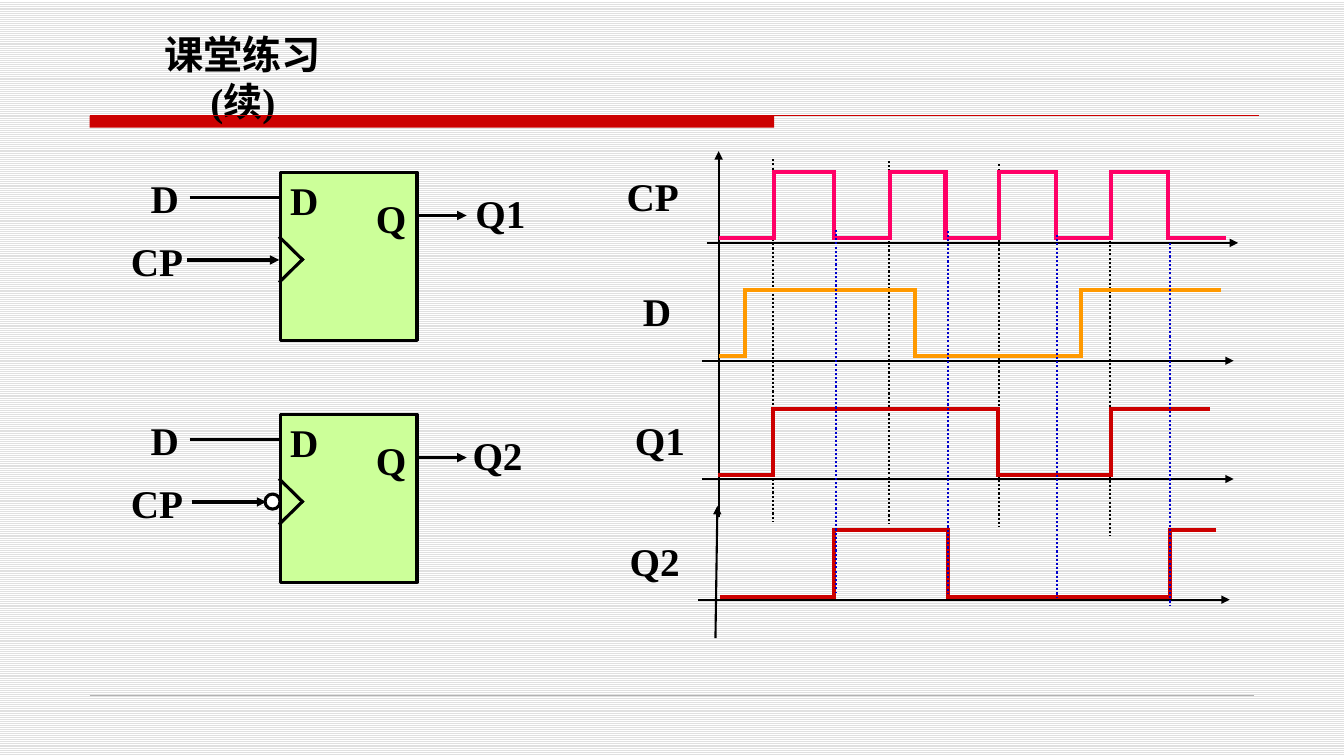
import lxml.etree
import pptx
import pptx.dml.color
import pptx.enum.dml
import pptx.enum.shapes
import pptx.enum.text
import pptx.oxml.ns
import pptx.util

Cm = pptx.util.Cm
Pt = pptx.util.Pt
qn = pptx.oxml.ns.qn
color = pptx.dml.color.RGBColor.from_string
LEFT = pptx.enum.text.PP_ALIGN.LEFT
CENTER = pptx.enum.text.PP_ALIGN.CENTER
PRESET = pptx.enum.shapes.MSO_SHAPE

presentation = pptx.Presentation()
presentation.slide_width = Cm(33.87)
presentation.slide_height = Cm(19.05)
slide = presentation.slides.add_slide(presentation.slide_layouts[5])
shapes = slide.shapes

backdrop = slide.background.fill
backdrop.patterned()
backdrop.pattern = pptx.enum.dml.MSO_PATTERN.LIGHT_HORIZONTAL
backdrop.fore_color.rgb = color("E0E0E0")
backdrop.back_color.rgb = color("FFFFFF")


def draw_path(points, ink, width, arrow=False, dotted=False):
    for (x1, y1), (x2, y2) in zip(points, points[1:]):
        segment = shapes.add_connector(
            pptx.enum.shapes.MSO_CONNECTOR.STRAIGHT, Cm(x1), Cm(y1), Cm(x2), Cm(y2))
        segment.line.color.rgb = color(ink)
        segment.line.width = Pt(width)
        if dotted:
            segment.line.dash_style = pptx.enum.dml.MSO_LINE.ROUND_DOT
        properties = segment.element.find(qn("p:spPr"))
        outline = properties.find(qn("a:ln"))
        if len(points) > 2:
            outline.set("cap", "sq")
        if arrow:
            lxml.etree.SubElement(outline, qn("a:tailEnd")).set("type", "triangle")
        lxml.etree.SubElement(properties, qn("a:effectLst"))


def write_label(text, left, top, width, align=LEFT):
    frame = shapes.add_textbox(Cm(left), Cm(top), Cm(width), Cm(1.45)).text_frame
    frame.word_wrap = align == LEFT
    paragraph = frame.paragraphs[0]
    paragraph.text = text
    paragraph.alignment = align
    paragraph.font.name = "Times New Roman"
    paragraph.font.size = Pt(28)
    paragraph.font.bold = True
    paragraph.font.color.rgb = color("000000")


title = shapes.title
title.left, title.top, title.width, title.height = Cm(3.84), Cm(1.22), Cm(4.56), Cm(1.45)
title.text_frame.text = "课堂练习(续)"
title.text_frame.word_wrap = True
title.text_frame.auto_size = pptx.enum.text.MSO_AUTO_SIZE.NONE
title.text_frame.vertical_anchor = pptx.enum.text.MSO_ANCHOR.MIDDLE
heading = title.text_frame.paragraphs[0]
heading.alignment = CENTER
heading.font.name = "Times New Roman"
heading.font.size = Pt(28)
heading.font.bold = True
heading.font.color.rgb = color("000000")

title_bar = shapes.add_shape(PRESET.RECTANGLE, Cm(2.26), Cm(2.92), Cm(17.25), Cm(0.3))
title_bar.shadow.inherit = False
title_bar.fill.solid()
title_bar.fill.fore_color.rgb = color("CC0000")
title_bar.line.fill.background()
title.element.addprevious(title_bar.element)
draw_path([(2.26, 2.92), (31.72, 2.92)], "CC0000", 0.75)
draw_path([(2.26, 17.53), (31.6, 17.53)], "B2B2B2", 0.25)

for output, top, output_left, clock_start, clock_end, falling in [
    ("Q1", 4.34, 11.73, 4.72, 7.04, False),
    ("Q2", 10.44, 11.66, 4.83, 6.71, True),
]:
    parts = [(PRESET.RECTANGLE, 7.06, top, 3.45, 4.24, "CCFF99")]
    if falling:
        parts.append((PRESET.OVAL, 6.68, top + 2.01, 0.38, 0.38, "FFFFFF"))
    for preset, left, part_top, width, height, fill in parts:
        part = shapes.add_shape(preset, Cm(left), Cm(part_top), Cm(width), Cm(height))
        part.shadow.inherit = False
        part.fill.solid()
        part.fill.fore_color.rgb = color(fill)
        part.line.color.rgb = color("000000")
        part.line.width = Pt(2.25)
    draw_path([(4.78, top + 0.64), (7.06, top + 0.64)], "000000", 2.25)
    draw_path([(clock_start, top + 2.21), (clock_end, top + 2.21)], "000000", 2.25, arrow=True)
    draw_path([(7.06, top + 1.65), (7.62, top + 2.2), (7.06, top + 2.75)], "000000", 2.25)
    draw_path([(10.52, top + 1.09), (11.76, top + 1.09)], "000000", 2.25, arrow=True)
    write_label("D", 7.06, top - 0.03, 1.22, CENTER)
    write_label("Q", 9.22, top + 0.43, 1.27, CENTER)
    write_label("D", 3.55, top - 0.08, 1.45)
    write_label("CP", 3.05, top + 1.52, 1.9)
    write_label(output, output_left, top + 0.3, 2.01)

for edge, top in [(19.48, 4.01), (22.4, 4.06), (25.17, 4.14), (27.97, 4.37)]:
    draw_path([(edge, top), (edge, top + 9.13)], "000000", 1.5, dotted=True)

for axis_left, axis_y in [(17.81, 6.12), (17.7, 9.09), (17.7, 12.07), (17.6, 15.11)]:
    draw_path([(axis_left, axis_y), (axis_left + 13.39, axis_y)], "000000", 1.5, arrow=True)
draw_path([(18.11, 13.03), (18.11, 3.81)], "000000", 1.5, arrow=True)
draw_path([(18.03, 16.08), (18.08, 12.75)], "000000", 1.5, arrow=True)

for signal, label_left, label_top, ink, low, high, start, end, edges in [
    ("CP", 15.54, 4.22, "FF0066", 5.99, 4.33, 18.16, 30.84,
     [19.51, 21.01, 22.43, 23.83, 25.17, 26.62, 27.99, 29.44]),
    ("D", 15.95, 7.11, "FF9900", 8.97, 7.3, 18.16, 30.71, [18.77, 23.06, 27.25]),
    ("Q1", 15.75, 10.36, "CC0000", 11.96, 10.31, 18.14, 30.45, [19.48, 25.15, 27.99]),
    ("Q2", 15.62, 13.41, "CC0000", 15.04, 13.36, 18.21, 30.58, [21.01, 23.9, 29.49]),
]:
    write_label(signal, label_left, label_top, 1.91)
    corners = [(start, low)]
    for edge in edges:
        level = corners[-1][1]
        corners += [(edge, level), (edge, high if level == low else low)]
    corners.append((end, corners[-1][1]))
    draw_path(corners, ink, 3)

for edge, top in [(21.06, 5.79), (23.9, 5.82), (26.64, 5.92), (29.49, 6.12)]:
    draw_path([(edge, top), (edge, top + 9.13)], "0000CC", 1.5, dotted=True)

presentation.save("out.pptx")
